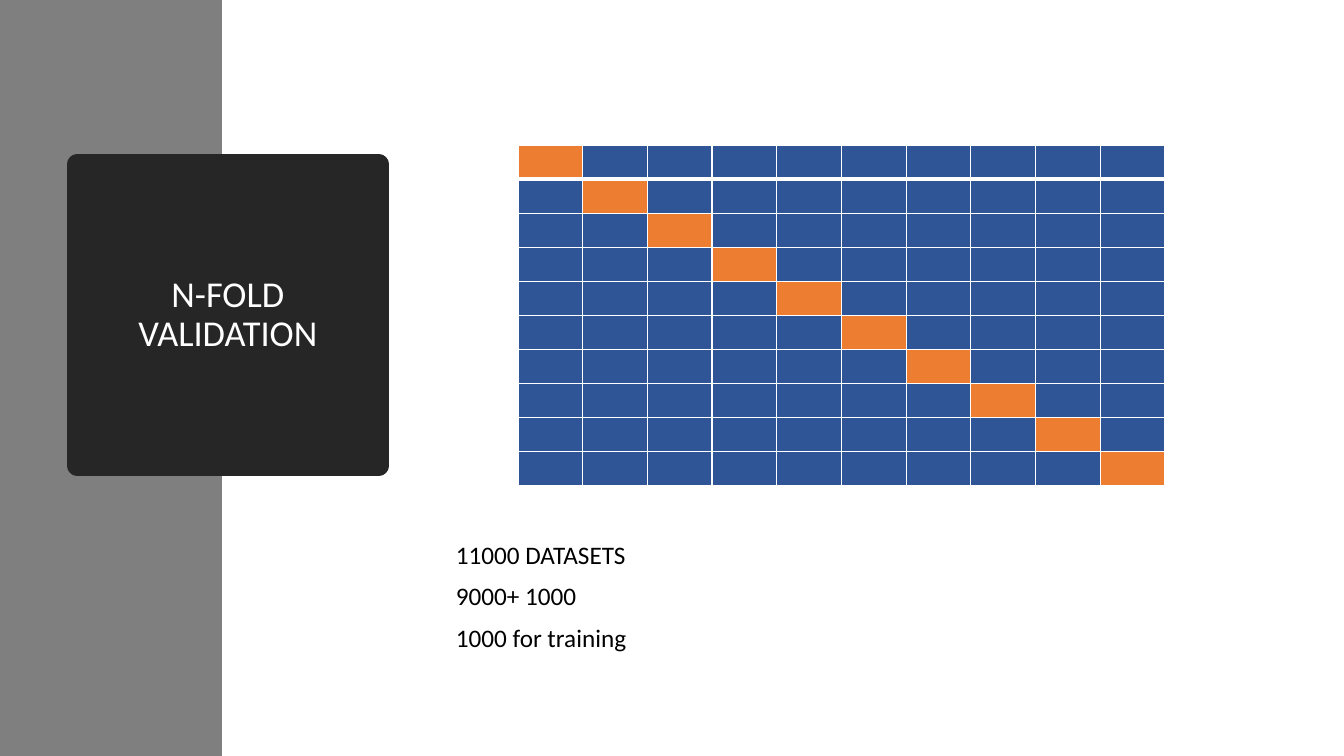
from lxml import etree
from pptx import Presentation
from pptx.dml.color import RGBColor
from pptx.enum.shapes import MSO_SHAPE
from pptx.enum.text import MSO_ANCHOR, PP_ALIGN
from pptx.oxml.ns import qn
from pptx.util import Emu, Pt

RECT = MSO_SHAPE.RECTANGLE
MIDDLE = MSO_ANCHOR.MIDDLE
CENTER = PP_ALIGN.CENTER

WHITE = RGBColor(0xFF, 0xFF, 0xFF)
BLACK = RGBColor(0, 0, 0)
GREY = RGBColor(0x7F, 0x7F, 0x7F)
DARK = RGBColor(0x26, 0x26, 0x26)
BLUE = RGBColor(0x2F, 0x55, 0x97)
ORANGE = RGBColor(0xED, 0x7D, 0x31)

FONT = "Calibri"
FOLDS = 10
NOTES = ["11000 DATASETS", "9000+ 1000", "1000 for training"]


def px(*sizes):
    """Turn pixels (100.8 to the inch) into EMU."""
    return [Emu(round(size * 914400 / 100.8)) for size in sizes]


def style(par, size, color):
    par.line_spacing = 0.9
    for run in par.runs:
        run.font.name = FONT
        run.font.size = Pt(size)
        run.font.color.rgb = color


deck = Presentation()
deck.slide_width, deck.slide_height = px(1344, 756)
slide = deck.slides.add_slide(deck.slide_layouts[5])
shapes = slide.shapes

# Side bar, behind the title
bar = shapes.add_shape(RECT, *px(0, 0, 222, 756))
bar.shadow.inherit = False
bar.fill.solid()
bar.fill.fore_color.rgb = GREY
bar.line.fill.background()
title = shapes.title
title._element.addprevious(bar._element)

# Title box with a thick, round-cornered outline
title.left, title.top, title.width, title.height = px(77, 164, 302, 302)
title.fill.solid()
title.fill.fore_color.rgb = DARK
title.line.color.rgb = DARK
title.line.width = Pt(13.75)
etree.SubElement(title.line._ln, qn("a:round"))
frame = title.text_frame
frame.text = "N-FOLD VALIDATION"
frame.word_wrap = True
frame.vertical_anchor = MIDDLE
frame.paragraphs[0].alignment = CENTER
style(frame.paragraphs[0], 26, WHITE)

# Notes below the grid
frame = shapes.add_textbox(*px(446, 538, 792, 142)).text_frame
frame.word_wrap = True
frame.text = "\n".join(NOTES)
for par in frame.paragraphs:
    par.space_before = Pt(10)
    style(par, 18, BLACK)

# Fold grid: the held-out fold runs down the diagonal
grid = shapes.add_table(FOLDS, FOLDS, *px(518, 145, 647, 341)).table
for row in range(FOLDS):
    for col in range(FOLDS):
        cell = grid.cell(row, col)
        cell.margin_top = cell.margin_bottom = 0
        props = cell._tc.get_or_add_tcPr()
        for side in "LRTB":
            thick = (row, side) in ((0, "B"), (1, "T"))
            line = etree.SubElement(props, qn("a:ln" + side), w=str(Pt(3 if thick else 1)))
            fill = etree.SubElement(line, qn("a:solidFill"))
            etree.SubElement(fill, qn("a:srgbClr"), val=str(WHITE))
        cell.fill.solid()
        cell.fill.fore_color.rgb = ORANGE if row == col else BLUE

deck.save("out.pptx")
